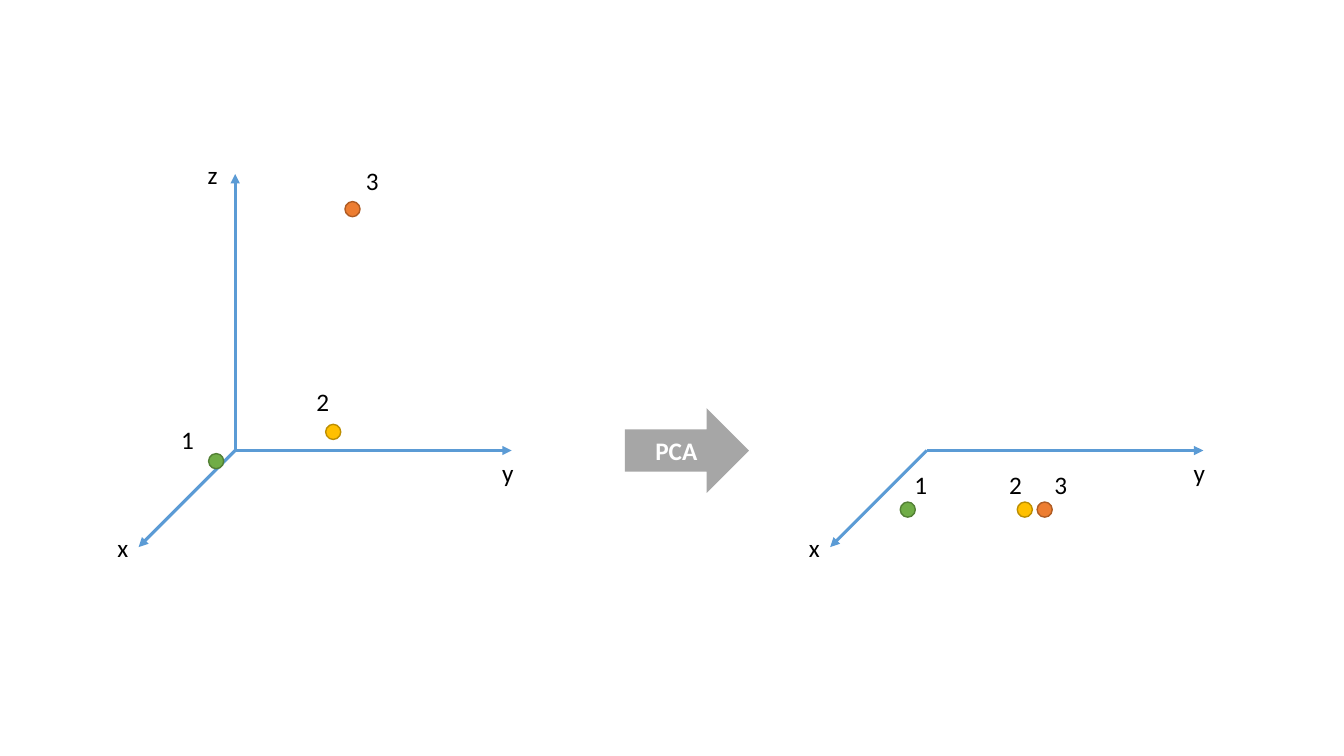
from pptx import Presentation
from pptx.dml.color import RGBColor
from pptx.enum.shapes import MSO_CONNECTOR, MSO_SHAPE
from pptx.enum.text import MSO_ANCHOR, MSO_AUTO_SIZE, PP_ALIGN
from pptx.oxml.ns import qn
from pptx.util import Pt
from lxml import etree

STRAIGHT = MSO_CONNECTOR.STRAIGHT
ELLIPSE, RIGHT_ARROW = MSO_SHAPE.OVAL, MSO_SHAPE.RIGHT_ARROW
MIDDLE, CENTER = MSO_ANCHOR.MIDDLE, PP_ALIGN.CENTER
GROW = MSO_AUTO_SIZE.SHAPE_TO_FIT_TEXT

DEPTH = 69
DOT = 10.8
SAMPLE_COLORS = {"3": ("ED7D31", "AF5C24"), "2": ("FFC000", "BD8E00"), "1": ("70AD47", "538035")}
SPACE_SAMPLES = {
    "3": ((78.4, -177.8), (86.2, -207.3)),
    "2": ((64.6, -18.7), (50.9, -49.6)),
    "1": ((-19, 2.2), (-45.6, -22.3)),
}
PLANE_SAMPLES = {
    "3": ((78.8, 36.8), (84.1, 10.1)),
    "2": ((64.6, 36.8), (51.7, 10.1)),
    "1": ((-19, 36.8), (-16, 10.1)),
}


def color(hex_code):
    """Return the colour for a hex string."""
    return RGBColor.from_string(hex_code)


def format_text(frame, text, hex_code, bold=False):
    """Write one line of text in the slide's type."""
    frame.text = text
    font = frame.paragraphs[0].runs[0].font
    font.name, font.size, font.bold = "Calibri", Pt(18), bold
    font.color.rgb = color(hex_code)


def add_label(slide, text, left, top, width):
    """Add a short black label."""
    frame = slide.shapes.add_textbox(Pt(left), Pt(top), Pt(width), Pt(29)).text_frame
    frame.word_wrap = False
    frame.auto_size = GROW
    format_text(frame, text, "000000")


def add_axis(slide, origin, tip):
    """Draw an axis with an arrowhead at its tip."""
    axis = slide.shapes.add_connector(STRAIGHT, *(Pt(v) for v in (*origin, *tip)))
    axis.line.color.rgb = color("5B9BD5")
    axis.line.width = Pt(2.25)
    etree.SubElement(axis.line._get_or_add_ln(), qn("a:tailEnd"), type="triangle")
    etree.SubElement(axis._element.spPr, qn("a:effectLst"))


def add_sample(slide, name, left, top):
    """Draw the dot of one sample in its colours."""
    dot = slide.shapes.add_shape(ELLIPSE, Pt(left), Pt(top), Pt(DOT), Pt(DOT))
    fill, outline = SAMPLE_COLORS[name]
    dot.shadow.inherit = False
    dot.fill.solid()
    dot.fill.fore_color.rgb = color(fill)
    dot.line.color.rgb = color(outline)
    dot.line.width = Pt(1)


def add_plot(slide, left, top, width, height, samples):
    """Draw the axes in a box, with z where the box rises above the plane, and the samples."""
    x0, y0 = left + DEPTH, top + height - DEPTH
    if height > DEPTH:
        add_axis(slide, (x0, y0), (x0, top))
        add_label(slide, "z", x0 - 26.8, top - 14.2, 21.6)
    add_axis(slide, (x0, y0), (left + width, y0))
    add_label(slide, "y", left + width - 14, y0 + 1.5, 23)
    add_axis(slide, (x0, y0), (left, top + height))
    add_label(slide, "x", left - 22.3, top + height - 14.2, 22.3)
    for name, ((dot_x, dot_y), (label_x, label_y)) in samples.items():
        add_sample(slide, name, x0 + dot_x, y0 + dot_y)
        add_label(slide, name, x0 + label_x, y0 + label_y, 23.8)


def add_step(slide, left, top, width, height):
    """Draw the arrow that names the reduction step."""
    step = slide.shapes.add_shape(RIGHT_ARROW, Pt(left), Pt(top), Pt(width), Pt(height))
    step.shadow.inherit = False
    step.fill.solid()
    step.fill.fore_color.rgb = color("A6A6A6")
    step.line.fill.background()
    format_text(step.text_frame, "PCA", "FFFFFF", bold=True)
    step.text_frame.vertical_anchor = MIDDLE
    step.text_frame.paragraphs[0].alignment = CENTER


def main():
    """Build the slide and save it."""
    deck = Presentation()
    deck.slide_width, deck.slide_height = Pt(960), Pt(540)
    slide = deck.slides.add_slide(deck.slide_layouts[6])
    add_plot(slide, 99, 124.3, 266.5, 266.5, SPACE_SAMPLES)
    add_step(slide, 446.4, 291.6, 88.6, 60.5)
    add_plot(slide, 593, 321.8, 266.5, DEPTH, PLANE_SAMPLES)
    deck.save("out.pptx")


if __name__ == "__main__":
    main()
